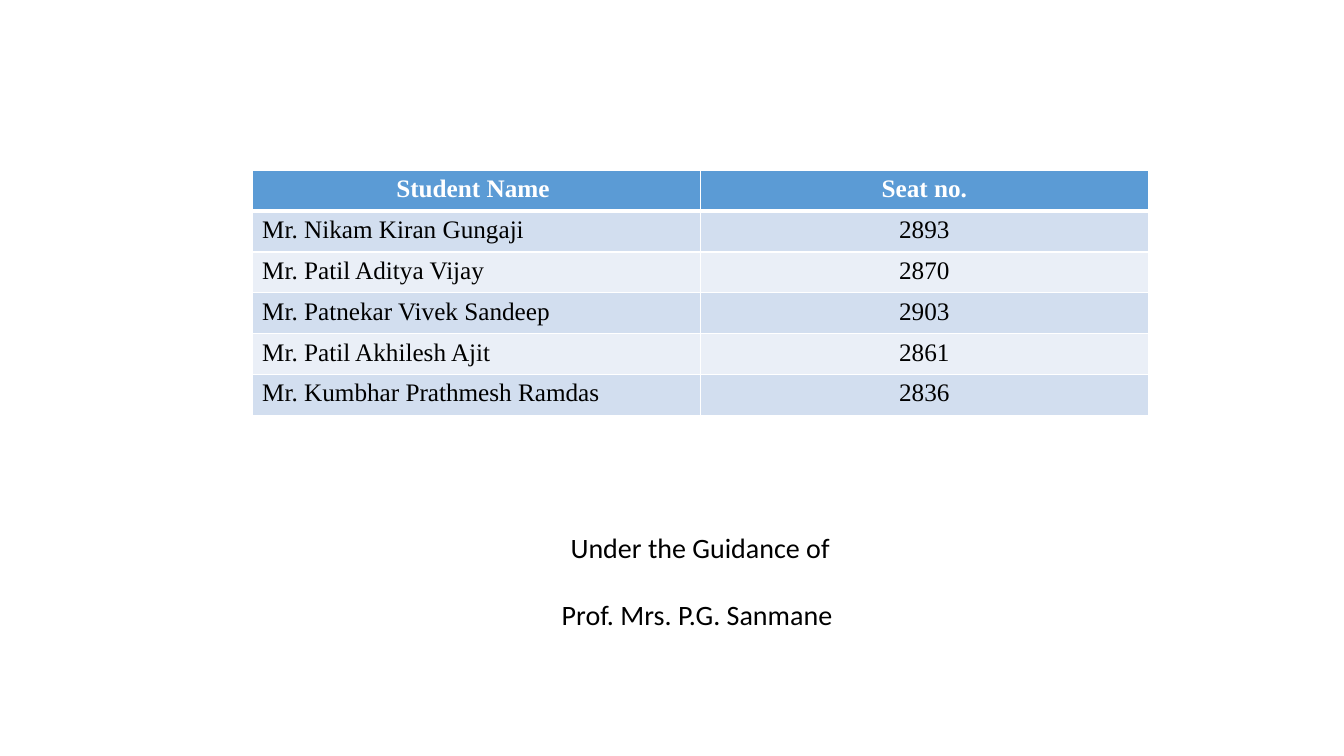
"""Build a slide with a table of students and the name of their guide."""
from dataclasses import dataclass

from lxml import etree
from pptx import Presentation
from pptx.dml.color import RGBColor
from pptx.enum.text import PP_ALIGN
from pptx.oxml.ns import qn
from pptx.util import Inches, Pt

LEFT, CENTER = PP_ALIGN.LEFT, PP_ALIGN.CENTER

HEADER = ("Student Name ", "Seat no.")
STUDENTS = [
    ("Mr. Nikam Kiran Gungaji", "2893"),
    ("Mr. Patil Aditya Vijay", "2870"),
    ("Mr. Patnekar Vivek Sandeep", "2903"),
    ("Mr. Patil Akhilesh Ajit", "2861"),
    ("Mr. Kumbhar Prathmesh Ramdas", "2836"),
]
GUIDANCE = ["Under the Guidance of", "Prof. Mrs. P.G. Sanmane "]


@dataclass(frozen=True)
class Theme:
    """Colours, fonts and type sizes of the slide."""
    header_fill: str = "5B9BD5"
    bands: tuple = ("D2DEEF", "EAEFF7")
    white: str = "FFFFFF"
    black: str = "000000"
    table_font: str = "Times New Roman"
    table_size: int = 18
    guidance_font: str = "Calibri"
    guidance_size: int = 20
    guidance_gap: float = 24.4
    thin_rule: int = 1
    thick_rule: int = 3


THEME = Theme()
WIDTH, HEIGHT = Inches(13.33), Inches(7.5)
CONTENT_LEFT, CONTENT_WIDTH = Inches(2.5), Inches(8.89)
TABLE_TOP, ROW_HEIGHT = Inches(1.69), Inches(0.405)
GUIDANCE_TOP, GUIDANCE_HEIGHT = Inches(5.21), Inches(1.11)


def style_paragraph(paragraph, font_name, size, color, alignment, bold=False):
    """Set the alignment and font of a paragraph."""
    paragraph.alignment = alignment
    paragraph.font.name = font_name
    paragraph.font.size = Pt(size)
    paragraph.font.bold = bold
    paragraph.font.color.rgb = RGBColor.from_string(color)


def add_borders(cell, top, bottom):
    """Draw white rules on the four sides of a cell."""
    properties = cell._tc.get_or_add_tcPr()
    widths = {"a:lnL": THEME.thin_rule, "a:lnR": THEME.thin_rule, "a:lnT": top, "a:lnB": bottom}
    for position, (tag, width) in enumerate(widths.items()):
        line = etree.Element(qn(tag), w=str(Pt(width)))
        fill = etree.SubElement(line, qn("a:solidFill"))
        etree.SubElement(fill, qn("a:srgbClr"), val=THEME.white)
        properties.insert(position, line)


def add_student_table(slide):
    """Add the header row and one banded row for each student."""
    rows = [HEADER, *STUDENTS]
    table = slide.shapes.add_table(
        len(rows), len(HEADER), CONTENT_LEFT, TABLE_TOP, CONTENT_WIDTH, ROW_HEIGHT * len(rows)
    ).table
    for row_index, row in enumerate(rows):
        is_header = row_index == 0
        fill = THEME.header_fill if is_header else THEME.bands[(row_index - 1) % 2]
        color = THEME.white if is_header else THEME.black
        top = THEME.thick_rule if row_index == 1 else THEME.thin_rule
        bottom = THEME.thick_rule if is_header else THEME.thin_rule
        for column_index, text in enumerate(row):
            cell = table.cell(row_index, column_index)
            cell.text = text
            cell.fill.solid()
            cell.fill.fore_color.rgb = RGBColor.from_string(fill)
            alignment = CENTER if is_header or column_index else LEFT
            style_paragraph(cell.text_frame.paragraphs[0], THEME.table_font,
                            THEME.table_size, color, alignment, is_header)
            add_borders(cell, top, bottom)


def add_guidance(slide):
    """Add the centred lines that name the guide."""
    box = slide.shapes.add_textbox(CONTENT_LEFT, GUIDANCE_TOP, CONTENT_WIDTH, GUIDANCE_HEIGHT)
    frame = box.text_frame
    frame.word_wrap = True
    frame.text = "\n".join(GUIDANCE)
    for paragraph in frame.paragraphs:
        style_paragraph(paragraph, THEME.guidance_font, THEME.guidance_size, THEME.black, CENTER)
    frame.paragraphs[-1].space_before = Pt(THEME.guidance_gap)


def main():
    """Create and save the presentation."""
    presentation = Presentation()
    presentation.slide_width, presentation.slide_height = WIDTH, HEIGHT
    slide = presentation.slides.add_slide(presentation.slide_layouts[6])
    add_student_table(slide)
    add_guidance(slide)
    presentation.save("out.pptx")


if __name__ == "__main__":
    main()
